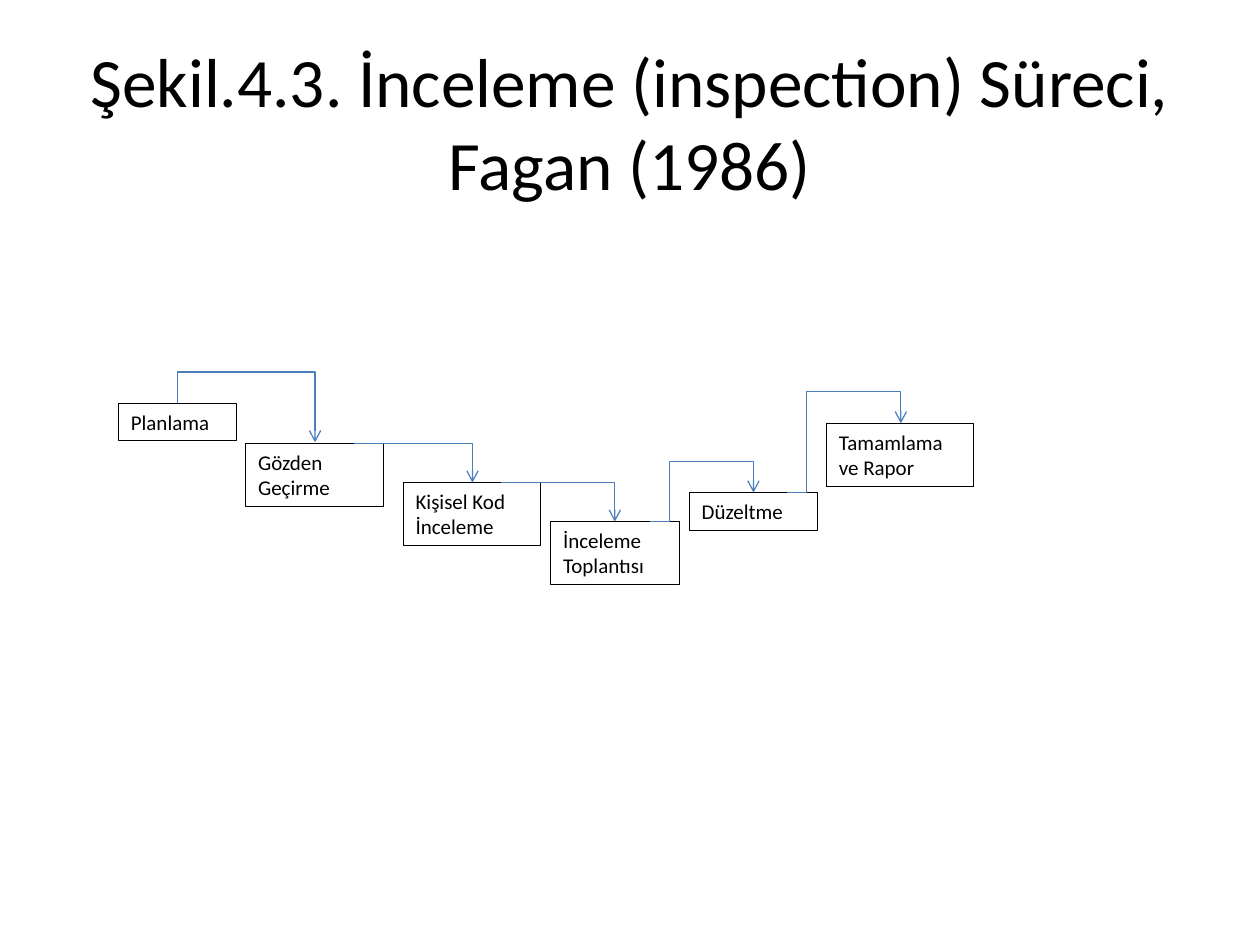
from dataclasses import dataclass

from lxml.etree import SubElement
from pptx import Presentation
from pptx.dml.color import RGBColor
from pptx.enum.shapes import MSO_CONNECTOR as Link, MSO_SHAPE as Preset
from pptx.enum.text import MSO_ANCHOR as Anchor, MSO_AUTO_SIZE as Fit, PP_ALIGN as Align
from pptx.oxml.ns import qn
from pptx.util import Inches, Pt

BLACK = "000000"
BLUE = "4B7EBC"
ONE_LINE, TWO_LINES = 0.3, 0.5
STAGE_FRAME = {"word_wrap": True, "auto_size": Fit.SHAPE_TO_FIT_TEXT, "vertical_anchor": Anchor.TOP}
TITLE_FRAME = {"word_wrap": True, "auto_size": Fit.NONE, "vertical_anchor": Anchor.MIDDLE}


@dataclass(frozen=True)
class Stage:
    text: str
    left: float
    top: float
    width: float
    height: float


@dataclass(frozen=True)
class Arrow:
    start: tuple[float, float]
    end: tuple[float, float]
    preset: str
    bends: tuple[float, ...] = ()
    rotation: int = 0


STAGES = [
    Stage("Planlama", 0.94, 3.2, 0.94, ONE_LINE),
    Stage("Gözden Geçirme", 1.95, 3.52, 1.09, TWO_LINES),
    Stage("Kişisel Kod İnceleme", 3.2, 3.83, 1.09, TWO_LINES),
    Stage("Tamamlama ve Rapor", 6.56, 3.36, 1.17, TWO_LINES),
    Stage("İnceleme Toplantısı", 4.37, 4.14, 1.02, TWO_LINES),
    Stage("Düzeltme", 5.47, 3.91, 1.02, ONE_LINE),
]

ARROWS = [
    Arrow((2.11, 2.81), (1.8, 3.9), "bentConnector3", (-0.8,), 270),
    Arrow((2.81, 3.52), (3.75, 3.83), "bentConnector2"),
    Arrow((3.98, 3.83), (4.88, 4.14), "bentConnector2"),
    Arrow((5.16, 4.14), (5.98, 3.91), "bentConnector4", (0.19, 2.07)),
    Arrow((6.25, 3.91), (7.15, 3.36), "bentConnector4", (0.17, 1.46)),
]


def color(value: str) -> RGBColor:
    return RGBColor.from_string(value)


def apply(target, values: dict) -> None:
    for name, value in values.items():
        setattr(target, name, value)


def write(shape, text: str, size: float, align: Align, frame_format: dict) -> None:
    frame = shape.text_frame
    apply(frame, frame_format)
    paragraph = frame.paragraphs[0]
    paragraph.alignment = align
    run = paragraph.add_run()
    run.text = text
    apply(run.font, {"name": "Calibri", "size": Pt(size)})
    run.font.color.rgb = color(BLACK)


def draw_title(slide, text: str) -> None:
    title = slide.shapes.add_textbox(Inches(0.5), Inches(0.34), Inches(9), Inches(1.25))
    write(title, text, 39.6, Align.CENTER, TITLE_FRAME)


def draw_stage(slide, stage: Stage) -> None:
    bounds = (stage.left, stage.top, stage.width, stage.height)
    box = slide.shapes.add_shape(Preset.RECTANGLE, *map(Inches, bounds))
    box.shadow.inherit = False
    box.fill.background()
    box.line.color.rgb = color(BLACK)
    box.line.width = Pt(0.5)
    write(box, stage.text, 12, Align.LEFT, STAGE_FRAME)


def draw_arrow(slide, arrow: Arrow) -> None:
    connector = slide.shapes.add_connector(Link.ELBOW, *map(Inches, arrow.start + arrow.end))
    connector.line.color.rgb = color(BLUE)
    connector.line.width = Pt(0.75)
    properties = connector._element.spPr
    if arrow.rotation:
        properties.find(qn("a:xfrm")).set("rot", str(arrow.rotation * 60000))
    geometry = properties.find(qn("a:prstGeom"))
    geometry.set("prst", arrow.preset)
    adjustments = geometry.find(qn("a:avLst"))
    for number, bend in enumerate(arrow.bends, start=1):
        SubElement(adjustments, qn("a:gd"), name=f"adj{number}", fmla=f"val {round(bend * 100000)}")
    SubElement(properties.find(qn("a:ln")), qn("a:tailEnd"), type="arrow")
    SubElement(properties, qn("a:effectLst"))


def main() -> None:
    presentation = Presentation()
    apply(presentation, {"slide_width": Inches(10), "slide_height": Inches(7.5)})
    slide = presentation.slides.add_slide(presentation.slide_layouts[6])
    draw_title(slide, "Şekil.4.3. İnceleme (inspection) Süreci, Fagan (1986)")
    for stage in STAGES:
        draw_stage(slide, stage)
    for arrow in ARROWS:
        draw_arrow(slide, arrow)
    presentation.save("out.pptx")


if __name__ == "__main__":
    main()
